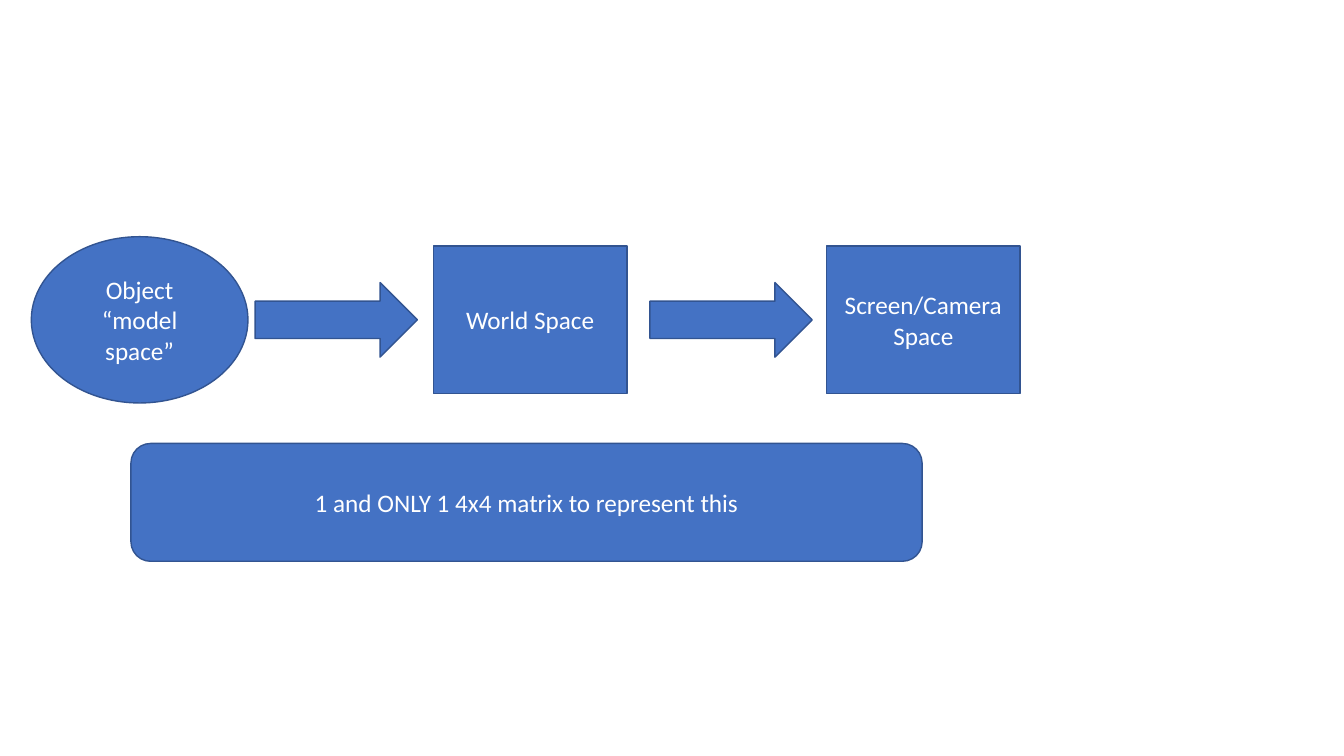
from pptx import Presentation
from pptx.dml.color import RGBColor
from pptx.enum import shapes, text
from pptx.util import Cm, Pt

COLOURS = {"fill": "4472C4", "outline": "325491", "label": "FFFFFF"}
FONT = "Calibri"
KIND = shapes.MSO_SHAPE

# Sizes in cm: (width, height)
MODEL, SPACE, ARROW, MATRIX = (5.46, 4.19), (4.88, 3.73), (4.09, 1.88), (19.94, 2.97)
PIPELINE_MIDDLE, MATRIX_MIDDLE = 8.06, 12.66

# (preset, left, middle, size, paragraphs)
STAGES = [
    (KIND.OVAL, 0.79, PIPELINE_MIDDLE, MODEL, ["Object", "“model space”"]),
    (KIND.RECTANGLE, 10.92, PIPELINE_MIDDLE, SPACE, ["World Space"]),
    (KIND.RECTANGLE, 20.83, PIPELINE_MIDDLE, SPACE, ["Screen/Camera Space"]),
    (KIND.RIGHT_ARROW, 6.43, PIPELINE_MIDDLE, ARROW, []),
    (KIND.RIGHT_ARROW, 16.38, PIPELINE_MIDDLE, ARROW, []),
    (KIND.ROUNDED_RECTANGLE, 3.3, MATRIX_MIDDLE, MATRIX,
     ["1 and ONLY 1 4x4 matrix to represent this"]),
]


def colour(role):
    """Return the colour used for a role."""
    return RGBColor.from_string(COLOURS[role])


def write_label(frame, lines):
    """Write centred lines, one paragraph each."""
    frame.word_wrap = True
    frame.vertical_anchor = text.MSO_ANCHOR.MIDDLE
    for index, line in enumerate(lines):
        paragraph = frame.add_paragraph() if index else frame.paragraphs[0]
        paragraph.alignment = text.PP_ALIGN.CENTER
        run = paragraph.add_run()
        run.text = line
        run.font.name = FONT
        run.font.size = Pt(18)
        run.font.color.rgb = colour("label")


def add_stage(slide, preset, left, middle, size, lines):
    """Add one shape centred vertically on its row's middle."""
    width, height = size
    stage = slide.shapes.add_shape(
        preset, Cm(left), Cm(middle - height / 2), Cm(width), Cm(height))
    stage.shadow.inherit = False
    stage.fill.solid()
    stage.fill.fore_color.rgb = colour("fill")
    stage.line.color.rgb = colour("outline")
    stage.line.width = Pt(1)
    write_label(stage.text_frame, lines)


deck = Presentation()
deck.slide_width, deck.slide_height = Cm(33.87), Cm(19.05)
slide = deck.slides.add_slide(deck.slide_layouts[6])
for stage in STAGES:
    add_stage(slide, *stage)
deck.save("out.pptx")
